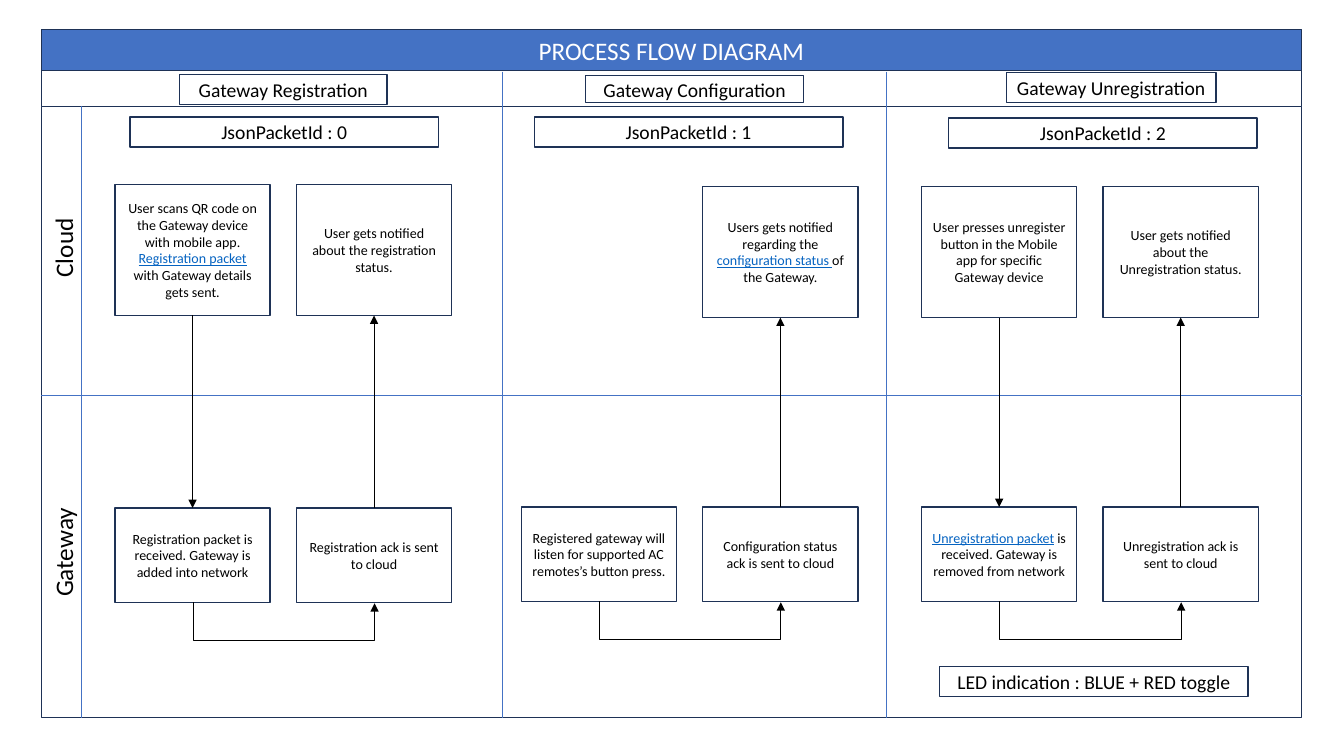
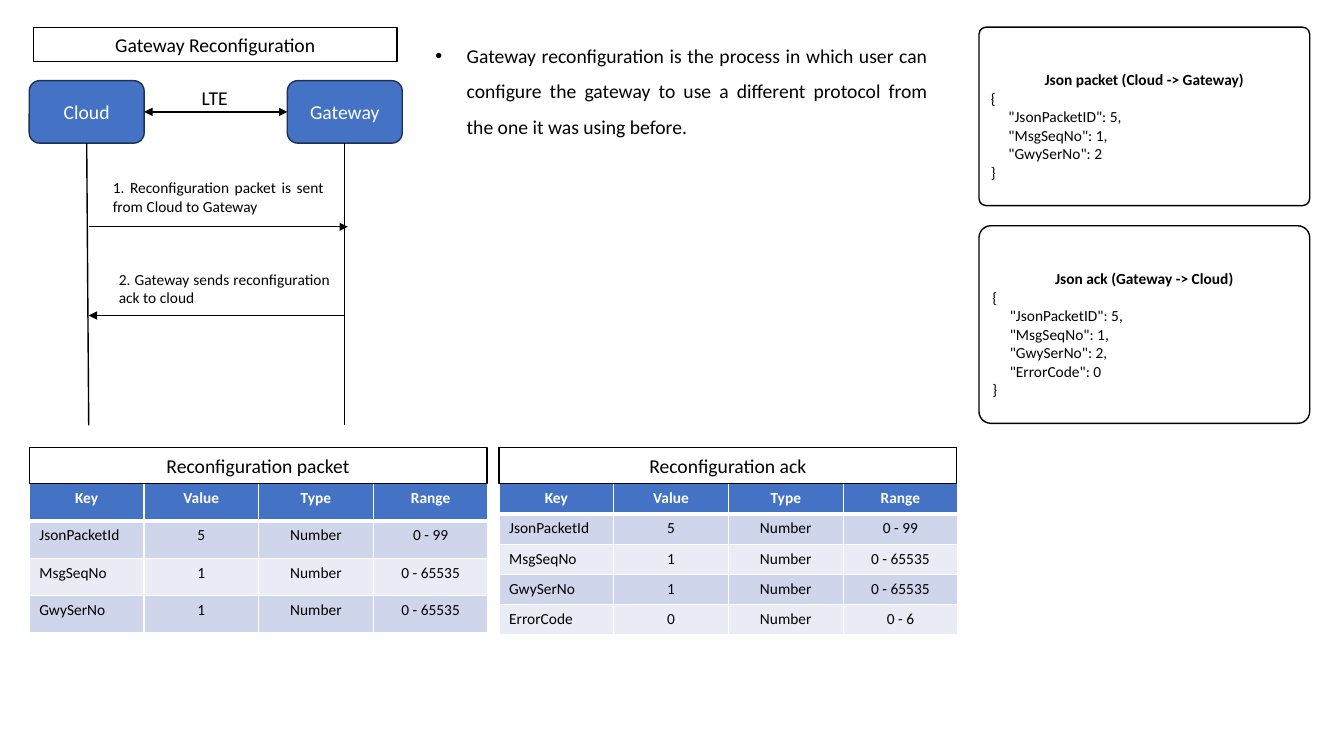
from dataclasses import dataclass
from typing import NamedTuple, Optional

import lxml.etree
import pptx
import pptx.dml.color
import pptx.enum.shapes
import pptx.enum.text
import pptx.oxml.ns
import pptx.presentation
import pptx.shapes.autoshape
import pptx.shapes.base
import pptx.shapes.connector
import pptx.slide
import pptx.table
import pptx.text.text
import pptx.util

PX = 9144  # EMU, 100 px to the inch
FONT = "Calibri"
WHITE = pptx.dml.color.RGBColor(0xFF, 0xFF, 0xFF)
BLACK = pptx.dml.color.RGBColor(0x00, 0x00, 0x00)
BLUE = pptx.dml.color.RGBColor(0x44, 0x72, 0xC4)
NAVY = pptx.dml.color.RGBColor(0x1E, 0x32, 0x56)
LINK = pptx.dml.color.RGBColor(0x05, 0x63, 0xC1)
BAND_DARK = pptx.dml.color.RGBColor(0xCF, 0xD5, 0xEA)
BAND_LIGHT = pptx.dml.color.RGBColor(0xE9, 0xEB, 0xF5)

Align = pptx.enum.text.PP_ALIGN
Preset = pptx.enum.shapes.MSO_SHAPE
Connector = pptx.enum.shapes.MSO_CONNECTOR
TOP, LEFT, BOTTOM, RIGHT = range(4)
qn = pptx.oxml.ns.qn


class Area(NamedTuple):
    left: int
    top: int
    width: int
    height: int

    def emu(self) -> list[int]:
        return [length * PX for length in self]


class Point(NamedTuple):
    x: int
    y: int


class Span(NamedTuple):
    text: str
    link: bool = False


@dataclass(frozen=True)
class Lane:
    title: str
    title_area: Area
    packet: str
    packet_area: Area
    left: int
    cloud_top: int
    gateway_top: int
    cloud_steps: tuple[Optional[list[Span]], list[Span]]
    gateway_steps: tuple[list[Span], list[Span]]


@dataclass(frozen=True)
class PacketTable:
    title: str
    left: int
    row_height: int
    rows: list[tuple[str, str, str]]


@dataclass(frozen=True)
class JsonBox:
    area: Area
    corner: float
    title: str
    fields: list[str]


STEP_WIDTH, STEP_PITCH, CLOUD_HEIGHT, GATEWAY_HEIGHT = 154, 180, 130, 94
FRAME = Area(41, 105, 1250, 607)
LANES = [
    Lane("Gateway Registration", Area(178, 74, 206, 30),
         "JsonPacketId : 0", Area(129, 116, 306, 30), 114, 183, 504,
         ([Span("User scans QR code on the Gateway device with mobile app. "),
           Span("Registration packet ", True), Span("with Gateway details gets sent.")],
          [Span("User gets notified about the registration status.")]),
         ([Span("Registration packet is received. Gateway is added into network")],
          [Span("Registration ack is sent to cloud")])),
    Lane("Gateway Configuration", Area(581, 75, 216, 27),
         "JsonPacketId : 1", Area(530, 116, 306, 30), 517, 185, 503,
         (None,
          [Span("Users gets notified regarding the "), Span("configuration status ", True),
           Span("of the Gateway.")]),
         ([Span("Registered gateway will listen for supported AC remotes’s button press.")],
          [Span("Configuration status ack is sent to cloud")])),
    Lane("Gateway Unregistration", Area(998, 72, 208, 30),
         "JsonPacketId : 2", Area(941, 117, 306, 30), 914, 185, 503,
         ([Span("User presses unregister button in the Mobile app for specific Gateway device")],
          [Span("User gets notified about the Unregistration status.")]),
         ([Span("Unregistration packet", True),
           Span(" is received. Gateway is removed from network")],
          [Span("Unregistration ack is sent to cloud")])),
]

TABLE_HEADER = ("Key", "Value", "Type", "Range")
PACKET_ROWS = [("JsonPacketId", "5", "0 - 99"), ("MsgSeqNo", "1", "0 - 65535"),
               ("GwySerNo", "1", "0 - 65535")]
TABLES = [
    PacketTable("Reconfiguration packet", 29, 37, PACKET_ROWS),
    PacketTable("Reconfiguration ack", 495, 30, PACKET_ROWS + [("ErrorCode", "0", "0 - 6")]),
]
JSON_BOXES = [
    JsonBox(Area(971, 27, 328, 177), 0.04, "Json packet (Cloud -> Gateway)",
            ['"JsonPacketID": 5,', '"MsgSeqNo": 1,', '"GwySerNo": 2']),
    JsonBox(Area(971, 224, 328, 196), 0.06, "Json ack (Gateway -> Cloud)",
            ['"JsonPacketID": 5,', '"MsgSeqNo": 1,', '"GwySerNo": 2,', '"ErrorCode": 0']),
]


def add_run(paragraph: pptx.text.text._Paragraph, text: str, size: int,
            color: pptx.dml.color.RGBColor = BLACK, bold: bool = False) -> pptx.text.text._Run:
    run = paragraph.add_run()
    run.text = text
    run.font.name = FONT
    run.font.size = pptx.util.Pt(size)
    run.font.bold = bold
    run.font.color.rgb = color
    return run


def style_shape(shape: pptx.shapes.autoshape.Shape, fill: pptx.dml.color.RGBColor,
                line: pptx.dml.color.RGBColor) -> None:
    shape.shadow.inherit = False
    shape.fill.solid()
    shape.fill.fore_color.rgb = fill
    shape.line.color.rgb = line
    shape.line.width = pptx.util.Pt(1)
    shape.text_frame.word_wrap = True
    shape.text_frame.vertical_anchor = pptx.enum.text.MSO_ANCHOR.MIDDLE


def add_box(slide: pptx.slide.Slide, area: Area, spans: list[Span], size: int = 14,
            fill: pptx.dml.color.RGBColor = WHITE, line: pptx.dml.color.RGBColor = NAVY,
            color: pptx.dml.color.RGBColor = BLACK,
            preset: Preset = Preset.RECTANGLE) -> pptx.shapes.autoshape.Shape:
    box = slide.shapes.add_shape(preset, *area.emu())
    style_shape(box, fill, line)
    paragraph = box.text_frame.paragraphs[0]
    paragraph.alignment = Align.CENTER
    for span in spans:
        run = add_run(paragraph, span.text, size, LINK if span.link else color)
        if span.link:
            run.font.underline = True
    return box


def add_label(slide: pptx.slide.Slide, area: Area, text: str, size: int,
              alignment: Align = Align.CENTER) -> pptx.shapes.autoshape.Shape:
    label = slide.shapes.add_textbox(*area.emu())
    label.text_frame.word_wrap = True
    paragraph = label.text_frame.paragraphs[0]
    paragraph.alignment = alignment
    add_run(paragraph, text, size)
    return label


def add_titled_slide(presentation: pptx.presentation.Presentation, text: str, area: Area,
                     size: int, fill: pptx.dml.color.RGBColor, line: pptx.dml.color.RGBColor,
                     color: pptx.dml.color.RGBColor) -> pptx.slide.Slide:
    slide = presentation.slides.add_slide(presentation.slide_layouts[5])
    title = slide.shapes.title
    title.left, title.top, title.width, title.height = area.emu()
    style_shape(title, fill, line)
    title.text_frame.auto_size = pptx.enum.text.MSO_AUTO_SIZE.NONE
    paragraph = title.text_frame.paragraphs[0]
    paragraph.alignment = Align.CENTER
    add_run(paragraph, text, size, color)
    return slide


def add_line(slide: pptx.slide.Slide, start: Point, end: Point,
             color: pptx.dml.color.RGBColor = BLACK, width: float = 0.5,
             arrows: tuple[str, ...] = (),
             kind: Connector = Connector.STRAIGHT) -> pptx.shapes.connector.Connector:
    """Draw a connector; arrows names its ends, headEnd before tailEnd."""
    line = slide.shapes.add_connector(kind, *(length * PX for length in start + end))
    line.line.color.rgb = color
    line.line.width = pptx.util.Pt(width)
    properties = line.element.spPr
    for end_name in arrows:
        lxml.etree.SubElement(properties.find(qn("a:ln")), qn(f"a:{end_name}"), type="triangle")
    lxml.etree.SubElement(properties, qn("a:effectLst"))
    return line


def join(slide: pptx.slide.Slide, source: pptx.shapes.base.BaseShape, source_side: int,
         target: pptx.shapes.base.BaseShape, target_side: int, width: float = 0.5,
         arrows: tuple[str, ...] = ("tailEnd",)) -> None:
    line = add_line(slide, Point(0, 0), Point(0, 0), width=width, arrows=arrows)
    line.begin_connect(source, source_side)
    line.end_connect(target, target_side)


def add_return_arrow(slide: pptx.slide.Slide, start: Point, span: int, drop: int) -> None:
    """Draw a U-shaped arrow below two boxes: an elbow one px wide, turned by 270 degrees."""
    left, top = start.x + span // 2, start.y - span // 2
    elbow = add_line(slide, Point(left, top), Point(left + 1, top + span),
                     arrows=("tailEnd",), kind=Connector.ELBOW)
    properties = elbow.element.spPr
    transform = properties.find(qn("a:xfrm"))
    transform.set("rot", "16200000")
    transform.set("flipH", "1")
    adjustments = properties.find(qn("a:prstGeom")).find(qn("a:avLst"))
    lxml.etree.SubElement(adjustments, qn("a:gd"), name="adj1", fmla=f"val {drop * 100000}")


def draw_lane(slide: pptx.slide.Slide, lane: Lane) -> None:
    add_box(slide, lane.title_area, [Span(lane.title)])
    add_box(slide, lane.packet_area, [Span(lane.packet)])
    for index, (cloud_step, gateway_step) in enumerate(zip(lane.cloud_steps, lane.gateway_steps)):
        left = lane.left + index * STEP_PITCH
        gateway = add_box(slide, Area(left, lane.gateway_top, STEP_WIDTH, GATEWAY_HEIGHT),
                          gateway_step, 10)
        if cloud_step is None:
            continue
        cloud = add_box(slide, Area(left, lane.cloud_top, STEP_WIDTH, CLOUD_HEIGHT),
                        cloud_step, 10)
        if index == 0:
            join(slide, cloud, BOTTOM, gateway, TOP)
        else:
            join(slide, gateway, TOP, cloud, BOTTOM)
    add_return_arrow(slide, Point(lane.left + STEP_WIDTH // 2, lane.gateway_top + GATEWAY_HEIGHT),
                     STEP_PITCH, 38)


def fill_cell(cell: pptx.table._Cell, text: str, row: int, column: int) -> None:
    header = row == 0
    properties = cell._tc.get_or_add_tcPr()
    for side in "LRTB":
        points = 3 if (header and side == "B") or (row == 1 and side == "T") else 1
        border = lxml.etree.SubElement(properties, qn(f"a:ln{side}"),
                                       w=str(pptx.util.Pt(points)))
        border_fill = lxml.etree.SubElement(border, qn("a:solidFill"))
        lxml.etree.SubElement(border_fill, qn("a:srgbClr"), val=str(WHITE))
    cell.fill.solid()
    cell.fill.fore_color.rgb = BLUE if header else BAND_DARK if row % 2 else BAND_LIGHT
    paragraph = cell.text_frame.paragraphs[0]
    paragraph.alignment = Align.CENTER if header or column else Align.LEFT
    add_run(paragraph, text, 11, WHITE if header else BLACK, header)


def draw_table(slide: pptx.slide.Slide, packet: PacketTable) -> None:
    rows = [TABLE_HEADER] + [(key, value, "Number", limits) for key, value, limits in packet.rows]
    area = Area(packet.left, 480, 455, packet.row_height * len(rows))
    table = slide.shapes.add_table(len(rows), len(TABLE_HEADER), *area.emu()).table
    for row_index, row in enumerate(rows):
        for column_index, text in enumerate(row):
            fill_cell(table.cell(row_index, column_index), text, row_index, column_index)
    add_box(slide, Area(packet.left, 444, 454, 36), [Span(packet.title)], line=BLACK)


def draw_json(slide: pptx.slide.Slide, json_box: JsonBox) -> None:
    box = add_box(slide, json_box.area, [], line=BLACK, preset=Preset.ROUNDED_RECTANGLE)
    box.adjustments[0] = json_box.corner
    frame = box.text_frame
    frame.margin_top = 24 * PX
    frame.paragraphs[0].alignment = Align.CENTER
    add_run(frame.paragraphs[0], json_box.title, 11, bold=True)
    for code in ["{", *("     " + field for field in json_box.fields), "}"]:
        paragraph = frame.add_paragraph()
        paragraph.alignment = Align.LEFT
        add_run(paragraph, code, 11)


def build_process_flow(presentation: pptx.presentation.Presentation) -> None:
    slide = add_titled_slide(presentation, "PROCESS FLOW DIAGRAM", Area(41, 29, 1250, 42), 18,
                             BLUE, NAVY, WHITE)
    right, bottom = FRAME.left + FRAME.width, FRAME.top + FRAME.height
    add_box(slide, FRAME, [])
    add_box(slide, Area(FRAME.left, 70, FRAME.width, 36), [])
    for x, top in ((81, FRAME.top), (498, 71), (879, 71)):
        add_line(slide, Point(x, top), Point(x, bottom), BLUE)
    add_line(slide, Point(FRAME.left, 392), Point(right, 392), BLUE)
    for text, top in (("Cloud", 226), ("Gateway", 528)):
        add_label(slide, Area(-8, top, 141, 40), text, 18).rotation = 270
    for lane in LANES:
        draw_lane(slide, lane)
    add_box(slide, Area(932, 661, 306, 30), [Span("LED indication : BLUE + RED toggle")])


def build_reconfiguration(presentation: pptx.presentation.Presentation) -> None:
    slide = add_titled_slide(presentation, "Gateway Reconfiguration", Area(33, 27, 361, 34), 14,
                             WHITE, BLACK, BLACK)
    for packet in TABLES:
        draw_table(slide, packet)
    cloud, gateway = (
        add_box(slide, Area(left, 80, 114, 62), [Span(name)], fill=BLUE, color=WHITE,
                preset=Preset.ROUNDED_RECTANGLE)
        for name, left in (("Cloud", 29), ("Gateway", 285)))
    for party, x in ((cloud, 88), (gateway, 342)):
        add_line(slide, Point(x, 142), Point(x, 422), width=1).begin_connect(party, BOTTOM)
    join(slide, cloud, RIGHT, gateway, LEFT, 1, ("headEnd", "tailEnd"))
    add_label(slide, Area(171, 80, 84, 34), "LTE", 14)
    for start, end, label, text in (
            (Point(88, 225), Point(345, 225), Area(102, 172, 229, 47),
             "1. Reconfiguration packet is sent from Cloud to Gateway"),
            (Point(342, 313), Point(88, 313), Area(108, 263, 229, 47),
             "2. Gateway sends reconfiguration ack to cloud")):
        add_line(slide, start, end, width=1, arrows=("tailEnd",))
        add_label(slide, label, text, 11, Align.JUSTIFY)
    for json_box in JSON_BOXES:
        draw_json(slide, json_box)
    summary = add_label(
        slide, Area(422, 27, 508, 112),
        "Gateway reconfiguration is the process in which user can configure the gateway to use "
        "a different protocol from the one it was using before.", 14, Align.JUSTIFY)
    paragraph = summary.text_frame.paragraphs[0]
    paragraph.line_spacing = 1.5
    properties = paragraph._p.get_or_add_pPr()
    properties.set("marL", str(31 * PX))
    properties.set("indent", str(-31 * PX))
    lxml.etree.SubElement(properties, qn("a:buFont"), typeface="Arial")
    lxml.etree.SubElement(properties, qn("a:buChar"), char="•")


def main() -> None:
    presentation = pptx.Presentation()
    presentation.slide_width, presentation.slide_height = 1333 * PX, 750 * PX
    build_process_flow(presentation)
    build_reconfiguration(presentation)
    presentation.save("out.pptx")


if __name__ == "__main__":
    main()
